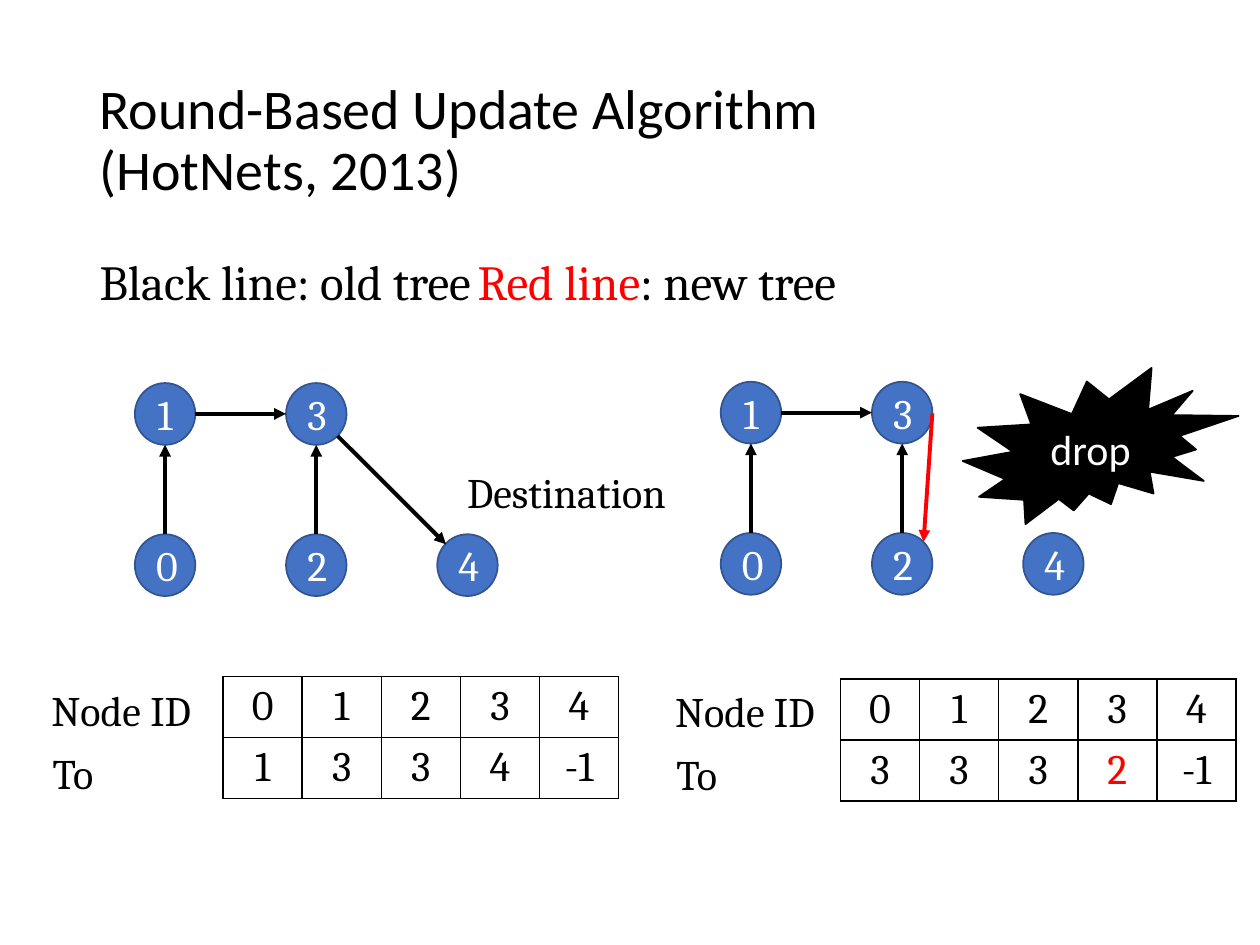
from lxml.etree import SubElement
from pptx import Presentation
from pptx.dml.color import RGBColor
from pptx.enum.shapes import MSO_CONNECTOR, MSO_SHAPE
from pptx.enum.text import MSO_ANCHOR, MSO_AUTO_SIZE, PP_ALIGN
from pptx.oxml.ns import qn
from pptx.util import Inches, Pt

BLACK = RGBColor(0x00, 0x00, 0x00)
WHITE = RGBColor(0xFF, 0xFF, 0xFF)
RED = RGBColor(0xFF, 0x00, 0x00)
BLUE = RGBColor(0x44, 0x72, 0xC4)
NAVY = RGBColor(0x32, 0x54, 0x91)

NODE_W, NODE_H, STEP = 0.48, 0.49, 1.2
NODES = {"0": (0, 1), "1": (0, 0), "2": (1, 1), "3": (1, 0), "4": (2, 1)}
MID_X, MID_Y = NODE_W / 2, NODE_H / 2
TREE_ARROWS = [
    (MID_X, STEP, MID_X, NODE_H),
    (NODE_W, MID_Y, STEP, MID_Y),
    (STEP + MID_X, STEP, STEP + MID_X, NODE_H),
]


def write(p, text, size=24, font="Cambria", color=BLACK, align=None):
    r = p.add_run()
    r.text = text
    r.font.size = Pt(size)
    r.font.name = font
    r.font.color.rgb = color
    if align is not None:
        p.alignment = align
    return r


def place(sp, x, y, w, h):
    sp.left, sp.top, sp.width, sp.height = (Inches(v) for v in (x, y, w, h))


def fill_title(sp):
    place(sp, 0.69, 0.4, 8.62, 1.45)
    tf = sp.text_frame
    tf.auto_size = MSO_AUTO_SIZE.NONE
    tf.vertical_anchor = MSO_ANCHOR.MIDDLE
    p = tf.paragraphs[0]
    p.line_spacing = 0.9
    write(p, "Round-Based Update Algorithm ", 32, "Calibri", align=PP_ALIGN.LEFT)
    p.add_line_break()
    write(p, "(HotNets, 2013)", 32, "Calibri")


def fill_legend(sp):
    place(sp, 0.69, 2, 9.18, 4.76)
    tf = sp.text_frame
    tf.auto_size = MSO_AUTO_SIZE.NONE
    p = tf.paragraphs[0]
    p.line_spacing = 0.9
    p.space_before = Pt(0)
    pPr = p._p.get_or_add_pPr()
    pPr.set("marL", "0")
    pPr.set("indent", "0")
    SubElement(pPr, qn("a:buNone"))
    tabs = SubElement(pPr, qn("a:tabLst"))
    SubElement(tabs, qn("a:tab"), pos=str(Inches(3.75)), algn="l")
    write(p, "Black line: old tree\t", 28)
    write(p, "Red line", 28, color=RED)
    write(p, ": new tree", 28)


def add_label(s, text, x, y, w):
    sp = s.shapes.add_textbox(Inches(x), Inches(y), Inches(w), Inches(0.5))
    tf = sp.text_frame
    tf.word_wrap = False
    tf.auto_size = MSO_AUTO_SIZE.SHAPE_TO_FIT_TEXT
    write(tf.paragraphs[0], text)


def add_shape(shapes, kind, text, x, y, w, h, fill, line, font="Cambria"):
    sp = shapes.add_shape(kind, Inches(x), Inches(y), Inches(w), Inches(h))
    sp.shadow.inherit = False
    sp.fill.solid()
    sp.fill.fore_color.rgb = fill
    sp.line.color.rgb = line
    sp.line.width = Pt(1)
    tf = sp.text_frame
    tf.vertical_anchor = MSO_ANCHOR.MIDDLE
    write(tf.paragraphs[0], text, font=font, color=WHITE, align=PP_ALIGN.CENTER)


def add_arrow(shapes, x1, y1, x2, y2, color=BLACK):
    c = shapes.add_connector(MSO_CONNECTOR.STRAIGHT, Inches(x1), Inches(y1),
                             Inches(x2), Inches(y2))
    c.line.color.rgb = color
    c.line.width = Pt(2.25)
    SubElement(c.line._get_or_add_ln(), qn("a:tailEnd"), type="triangle")
    SubElement(c._element.spPr, qn("a:effectLst"))


def add_tree(s, x, y, last_arrow, color):
    shapes = s.shapes.add_group_shape().shapes
    for name, (col, row) in NODES.items():
        add_shape(shapes, MSO_SHAPE.OVAL, name, x + col * STEP, y + row * STEP,
                  NODE_W, NODE_H, BLUE, NAVY)
    for x1, y1, x2, y2 in TREE_ARROWS:
        add_arrow(shapes, x + x1, y + y1, x + x2, y + y2)
    x1, y1, x2, y2 = last_arrow
    add_arrow(shapes, x + x1, y + y1, x + x2, y + y2, color)


def set_borders(cell):
    tcPr = cell._tc.get_or_add_tcPr()
    for i, side in enumerate(("lnL", "lnR", "lnT", "lnB")):
        ln = tcPr.makeelement(qn(f"a:{side}"), {"w": str(Pt(1))})
        SubElement(SubElement(ln, qn("a:solidFill")), qn("a:srgbClr"), val=str(BLACK))
        tcPr.insert(i, ln)


def add_node_table(s, x, y, targets, changed=None):
    rows = [list(NODES), targets]
    table = s.shapes.add_table(2, len(NODES), Inches(x), Inches(y),
                               Inches(3.14), Inches(0.82)).table
    table.first_row = False
    table.horz_banding = False
    for i, row in enumerate(rows):
        for j, text in enumerate(row):
            cell = table.cell(i, j)
            cell.fill.background()
            set_borders(cell)
            color = RED if (i, j) == (1, changed) else BLACK
            write(cell.text_frame.paragraphs[0], text, color=color,
                  align=PP_ALIGN.CENTER)


def main():
    prs = Presentation()
    prs.slide_width, prs.slide_height = Inches(10), Inches(7.5)
    s = prs.slides.add_slide(prs.slide_layouts[1])
    fill_title(s.shapes.title)
    fill_legend(s.placeholders[1])

    add_node_table(s, 1.77, 5.37, ["1", "3", "3", "4", "-1"])
    add_node_table(s, 6.67, 5.39, ["3", "3", "3", "2", "-1"], changed=3)
    for x, y in ((0.31, 5.38), (5.26, 5.39)):
        add_label(s, "Node ID", x, y, 1.44)
        add_label(s, "To", x + 0.01, y + 0.5, 0.63)

    add_tree(s, 1.07, 3.04, (1.61, 0.42, 2.47, 1.28), BLACK)
    add_tree(s, 5.72, 3.03, (1.68, 0.25, 1.61, 1.27), RED)
    add_label(s, "Destination", 3.61, 3.65, 1.87)
    add_shape(s.shapes, MSO_SHAPE.EXPLOSION2, "drop", 7.64, 2.92, 2.19, 1.24,
              BLACK, BLACK, font="Calibri")
    prs.save("out.pptx")


if __name__ == "__main__":
    main()
